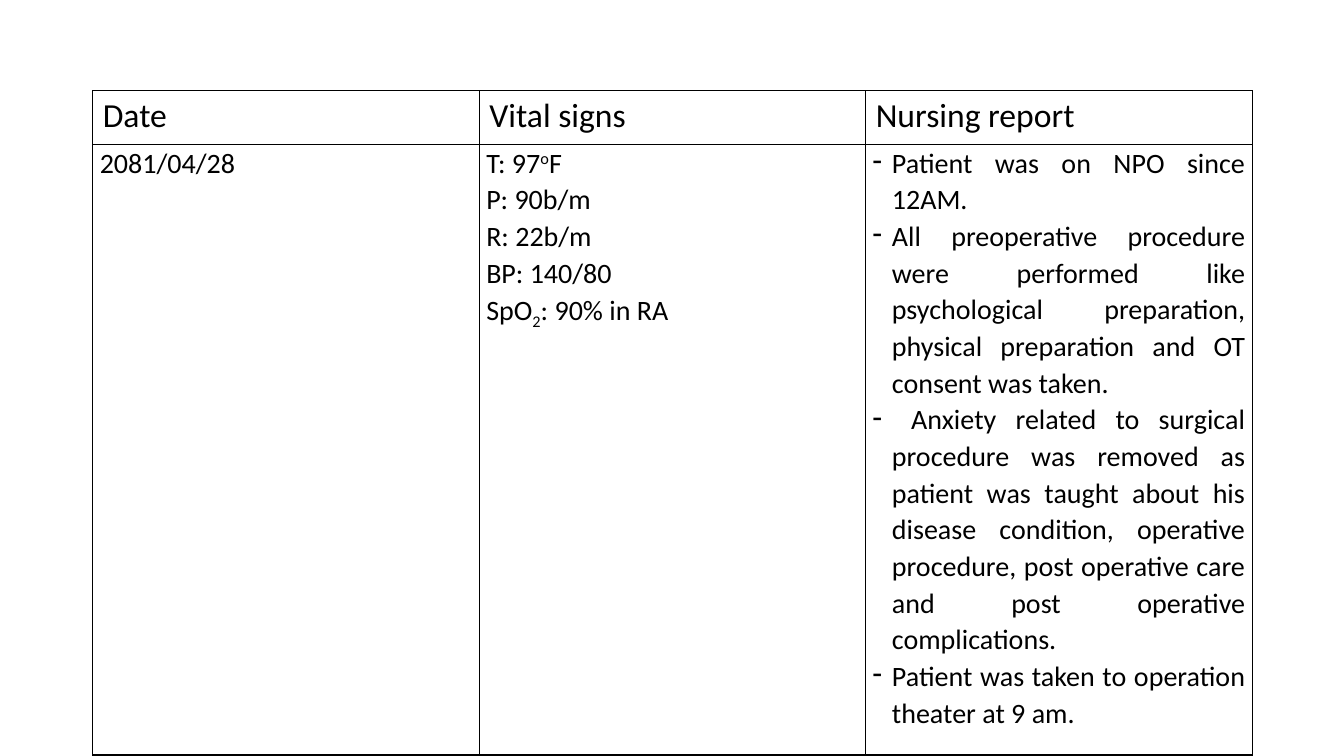
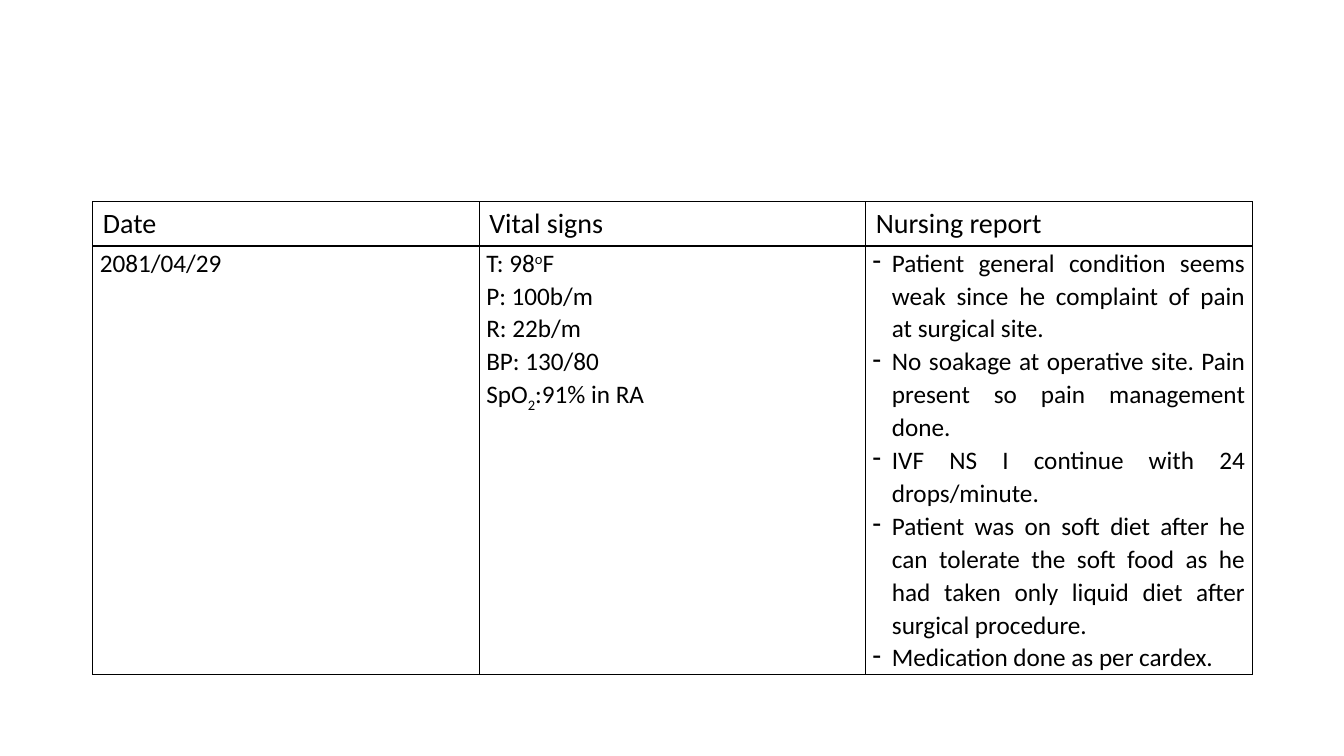
from dataclasses import dataclass

from lxml import etree
from pptx import Presentation
from pptx.dml.color import RGBColor
from pptx.enum.text import PP_ALIGN
from pptx.oxml.ns import qn
from pptx.util import Inches, Pt

BLACK = RGBColor(0x00, 0x00, 0x00)
WHITE = RGBColor(0xFF, 0xFF, 0xFF)
FONT = "Calibri"
LEFT, JUSTIFY = PP_ALIGN.LEFT, PP_ALIGN.JUSTIFY
BLANK_LAYOUT = 6

HEADINGS = ("Date", "Vital signs", "Nursing report")
TABLE_LEFT, TABLE_WIDTH = Inches(0.92), Inches(11.5)
SIDE_INSET = Inches(0.07)
BULLET_INDENT = Inches(0.19)
LINE_SPACING = 1.07
BORDER_WIDTH = Pt(1)
SUPERSCRIPT, SUBSCRIPT = 30000, -25000


@dataclass(frozen=True)
class Span:
    text: str
    baseline: int = 0


@dataclass(frozen=True)
class DayReport:
    date: str
    temperature: str
    pulse: str
    respiration: str
    blood_pressure: str
    saturation: str
    notes: tuple[str, ...]
    top: float
    row_heights: tuple[float, float]
    heading_size: int
    body_size: int

    def vital_signs(self) -> list[list[Span]]:
        return [
            [Span(f"T: {self.temperature}"), Span("o", SUPERSCRIPT), Span("F")],
            [Span(f"P: {self.pulse}b/m")],
            [Span(f"R: {self.respiration}b/m")],
            [Span(f"BP: {self.blood_pressure}")],
            [Span("SpO"), Span("2", SUBSCRIPT), Span(f"{self.saturation} in RA")],
        ]


REPORTS = (
    DayReport(
        "2081/04/28", "97", "90", "22", "140/80", ": 90%",
        (
            "Patient was on NPO since 12AM.",
            "All preoperative procedure were performed like psychological "
            "preparation, physical preparation and OT consent was taken.",
            " Anxiety related to surgical procedure was removed as patient was "
            "taught about his disease condition, operative procedure, post "
            "operative care and post operative complications.",
            "Patient was taken to operation theater at 9 am.",
        ),
        top=0.9, row_heights=(0.53, 6.06), heading_size=24, body_size=20,
    ),
    DayReport(
        "2081/04/29", "98", "100", "22", "130/80", ":91%",
        (
            "Patient general condition seems weak since he complaint of pain "
            "at surgical site.",
            "No soakage at operative site. Pain present so pain management done.",
            "IVF NS I continue with 24 drops/minute.",
            "Patient was on soft diet after he can tolerate the soft food as he "
            "had taken only liquid diet after surgical procedure.",
            "Medication done as per cardex.",
        ),
        top=2, row_heights=(0.44, 4.25), heading_size=20, body_size=18,
    ),
)


def style_cell(cell) -> None:
    """Give the cell a thin black frame and a white fill."""
    properties = cell._tc.get_or_add_tcPr()
    for side in ("a:lnL", "a:lnR", "a:lnT", "a:lnB"):
        border = etree.SubElement(properties, qn(side), w=str(BORDER_WIDTH))
        fill = etree.SubElement(border, qn("a:solidFill"))
        etree.SubElement(fill, qn("a:srgbClr"), val=str(BLACK))
    cell.fill.solid()
    cell.fill.fore_color.rgb = WHITE


def add_dash(paragraph) -> None:
    """Hang the paragraph behind a dash bullet."""
    properties = paragraph._p.get_or_add_pPr()
    properties.set("marL", str(BULLET_INDENT))
    properties.set("indent", str(-BULLET_INDENT))
    etree.SubElement(properties, qn("a:buChar"), char="-")


def fill_cell(cell, lines: list[list[Span]], size: int,
              body: bool = True, dashed: bool = False) -> None:
    style_cell(cell)
    if body:
        cell.margin_left = cell.margin_right = SIDE_INSET
        cell.margin_top = cell.margin_bottom = 0
    frame = cell.text_frame
    for index, spans in enumerate(lines):
        paragraph = frame.add_paragraph() if index else frame.paragraphs[0]
        paragraph.alignment = JUSTIFY if dashed else LEFT
        if body:
            paragraph.line_spacing = LINE_SPACING
        if dashed:
            add_dash(paragraph)
        for span in spans:
            run = paragraph.add_run()
            run.text = span.text
            run.font.name = FONT
            run.font.size = Pt(size)
            run.font.color.rgb = BLACK
            if span.baseline:
                run._r.get_or_add_rPr().set("baseline", str(span.baseline))


def add_report_slide(deck, report: DayReport) -> None:
    slide = deck.slides.add_slide(deck.slide_layouts[BLANK_LAYOUT])
    table = slide.shapes.add_table(
        2, len(HEADINGS), TABLE_LEFT, Inches(report.top),
        TABLE_WIDTH, Inches(sum(report.row_heights)),
    ).table
    table.first_row = table.horz_banding = False
    for row, height in zip(table.rows, report.row_heights):
        row.height = Inches(height)

    # Heading row
    for column, heading in enumerate(HEADINGS):
        fill_cell(table.cell(0, column), [[Span(heading)]],
                  report.heading_size, body=False)

    # Report row
    date_cell, vitals_cell, notes_cell = table.rows[1].cells
    fill_cell(date_cell, [[Span(report.date)]], report.body_size)
    fill_cell(vitals_cell, report.vital_signs(), report.body_size)
    fill_cell(notes_cell, [[Span(note)] for note in report.notes],
              report.body_size, dashed=True)


def main() -> None:
    deck = Presentation()
    deck.slide_width, deck.slide_height = Inches(13.33), Inches(7.5)
    for report in REPORTS:
        add_report_slide(deck, report)
    deck.save("out.pptx")


if __name__ == "__main__":
    main()
